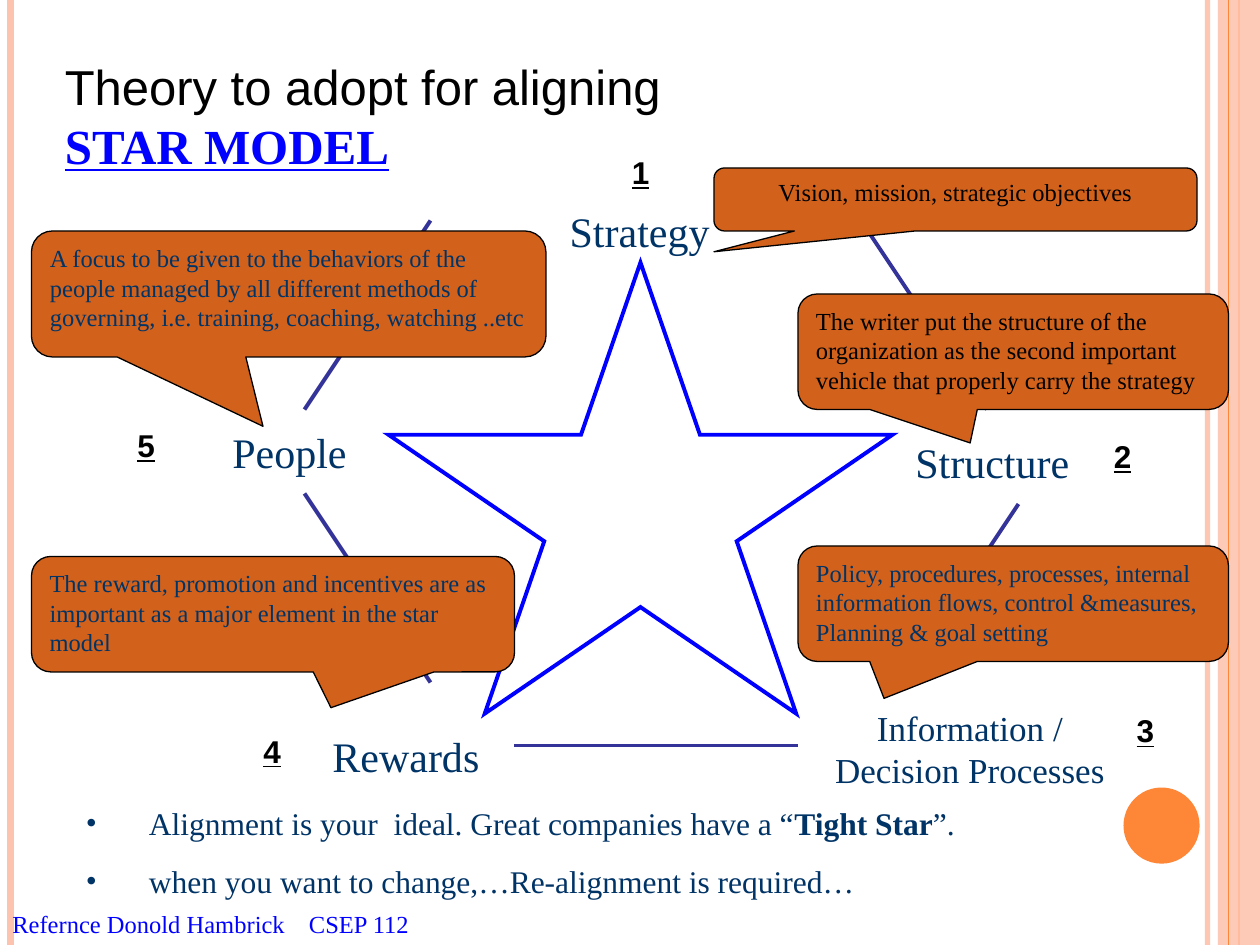
from math import cos, pi, sin

from lxml import etree
from pptx import Presentation
from pptx.dml.color import RGBColor
from pptx.enum.shapes import MSO_CONNECTOR, MSO_SHAPE
from pptx.enum.text import MSO_ANCHOR, MSO_AUTO_SIZE, PP_ALIGN
from pptx.oxml.ns import qn
from pptx.util import Pt

LEFT, CENTER = PP_ALIGN.LEFT, PP_ALIGN.CENTER
TOP, MIDDLE = MSO_ANCHOR.TOP, MSO_ANCHOR.MIDDLE
FIT, FIXED = MSO_AUTO_SIZE.SHAPE_TO_FIT_TEXT, MSO_AUTO_SIZE.NONE
STRAIGHT = MSO_CONNECTOR.STRAIGHT
CALLOUT = MSO_SHAPE.ROUNDED_RECTANGULAR_CALLOUT
RECT, OVAL = MSO_SHAPE.RECTANGLE, MSO_SHAPE.OVAL

BLACK = RGBColor(0x00, 0x00, 0x00)
NAVY = RGBColor(0x00, 0x33, 0x66)
BLUE = RGBColor(0x00, 0x00, 0xFF)
INDIGO = RGBColor(0x33, 0x33, 0x99)
RUST = RGBColor(0xD2, 0x61, 0x1C)
ORANGE = RGBColor(0xFE, 0x86, 0x37)
PEACH = RGBColor(0xFE, 0xC3, 0xAE)

SERIF, SANS = "Times New Roman", "Arial"
W, H = 720, 540

# left, top, width, height, text size, lines
LABELS = [
    (316, 114, 99, 36, 24, ["Strategy"]),
    (514, 246, 106, 36, 24, ["Structure"]),
    (124, 240, 83, 36, 24, ["People"]),
    (181, 414, 102, 36, 24, ["Rewards"]),
    (468, 400, 172.5, 55.5, 20, ["Information /", "Decision Processes"]),
]
NUMBERS = [(354, 84), (629.5, 246), (642.5, 403), (143.5, 414.5), (71.5, 240)]
LINKS = [
    (246, 126, 174, 234),
    (492, 126, 564, 234),
    (582, 288, 510, 396),
    (174, 282, 246, 390),
    (294, 426, 456, 426),
]
# left, top, width, height, tail x, tail y, text colour, alignment, lines
CALLOUTS = [
    (408, 96, 276, 36, -0.5, 0.83, BLACK, CENTER,
     ["Vision, mission, strategic objectives"]),
    (456, 168, 246, 66, -0.1, 0.79, BLACK, LEFT,
     ["The writer put the structure of the organization as the second "
      "important vehicle that properly carry the strategy"]),
    (456, 312, 246, 66, -0.3, 0.82, NAVY, LEFT,
     ["Policy, procedures, processes, internal information flows, "
      "control &measures,", "Planning & goal setting"]),
    (18, 318, 276, 66, 0.12, 0.81, NAVY, LEFT,
     ["The reward, promotion and incentives are as important as a major "
      "element in the star model"]),
    (18, 132, 294, 72, -0.05, 1.05, NAVY, LEFT,
     ["A focus to be given to the behaviors of the people managed by all "
      "different methods of governing, i.e. training, coaching, watching "
      "..etc"]),
]


def set_all(obj, values):
    for name, value in values.items():
        setattr(obj, name, value)


def set_alpha(s, percent):
    for color in s.element.spPr.iter(qn("a:srgbClr")):
        etree.SubElement(color, qn("a:alpha"), val=str(percent * 1000))


def add_run(p, text, size, color, name=SERIF, **fmt):
    r = p.add_run()
    r.text = text
    set_all(r.font, {"size": Pt(size), "name": name, **fmt})
    r.font.color.rgb = color


def add_paragraphs(tf, lines, size, color, align=LEFT, **fmt):
    for i, line in enumerate(lines):
        p = tf.add_paragraph() if i else tf.paragraphs[0]
        p.alignment = align
        add_run(p, line, size, color, **fmt)


def add_text_box(s, box, wrap=True, auto_size=FIT, anchor=TOP):
    tf = s.shapes.add_textbox(*map(Pt, box)).text_frame
    set_all(tf, {"word_wrap": wrap, "auto_size": auto_size,
                 "vertical_anchor": anchor})
    return tf


def add_line(s, ends, color, width):
    line = s.shapes.add_connector(STRAIGHT, *map(Pt, ends))
    line.line.color.rgb = color
    line.line.width = Pt(width)
    etree.SubElement(line.element.spPr, qn("a:effectLst"))
    return line


def add_plain_shape(s, kind, box, color):
    sp = s.shapes.add_shape(kind, *map(Pt, box))
    sp.shadow.inherit = False
    sp.fill.solid()
    sp.fill.fore_color.rgb = color
    sp.line.fill.background()
    return sp


def add_callout(s, box, tail, color, align, lines):
    sp = add_plain_shape(s, CALLOUT, box, RUST)
    sp.line.color.rgb = BLACK
    sp.line.width = Pt(0.75)
    sp.adjustments[0], sp.adjustments[1] = tail
    sp.text_frame.word_wrap = True
    sp.text_frame.vertical_anchor = TOP
    add_paragraphs(sp.text_frame, lines, 14, color, align)


def add_star(s, cx, cy, rx, ry):
    """Five-pointed outline with sharp tips and edges straight from tip to tip."""
    inner = cos(2 * pi / 5) / cos(pi / 5)
    points = []
    for i in range(10):
        scale = inner if i % 2 else 1
        angle = i * pi / 5
        points.append((Pt(cx + scale * rx * sin(angle)),
                       Pt(cy - scale * ry * cos(angle))))
    builder = s.shapes.build_freeform(*points[0])
    builder.add_line_segments(points[1:], close=True)
    sp = builder.convert_to_shape()
    sp.shadow.inherit = False
    sp.fill.background()
    sp.line.color.rgb = BLUE
    sp.line.width = Pt(2.25)
    ln = sp.element.spPr.find(qn("a:ln"))
    etree.SubElement(ln, qn("a:miter"), lim="800000")


def add_bullet(p):
    pPr = p._p.get_or_add_pPr()
    pPr.set("marL", str(Pt(36)))
    pPr.set("indent", str(Pt(-36)))
    color = etree.SubElement(pPr, qn("a:buClr"))
    etree.SubElement(color, qn("a:srgbClr"), val=str(NAVY))
    etree.SubElement(pPr, qn("a:buFont"), typeface=SERIF)
    etree.SubElement(pPr, qn("a:buChar"), char="•")


def add_tab(p, position):
    tabs = etree.SubElement(p._p.get_or_add_pPr(), qn("a:tabLst"))
    etree.SubElement(tabs, qn("a:tab"), pos=str(Pt(position)), algn="l")


def add_border(s):
    set_alpha(add_line(s, (690, 0, 690, H), PEACH, 3), 93)
    add_line(s, (6, 0, 6, H), PEACH, 4.5)
    add_line(s, (708, 0, 708, H), ORANGE, 1.5)
    set_alpha(add_plain_shape(s, RECT, (696, 0, 24, H), PEACH), 87)
    add_line(s, (702, 0, 702, H), ORANGE, 0.75)
    add_plain_shape(s, OVAL, (642, 450, 43.5, 43.5), ORANGE)


def add_title(s):
    tf = add_text_box(s, (30, 24, 636, 84), auto_size=FIXED, anchor=MIDDLE)
    add_run(tf.paragraphs[0], "Theory to adopt for aligning", 28, BLACK, SANS)
    add_run(tf.add_paragraph(), "STAR MODEL", 28, BLUE,
            bold=True, underline=True)


def add_conclusions(s):
    tf = add_text_box(s, (42, 456, 630, 62))
    first, second = tf.paragraphs[0], tf.add_paragraph()
    second.space_before = Pt(11.2)
    for p in (first, second):
        add_bullet(p)
    add_run(first, "Alignment is your  ideal. Great companies have a “", 18, NAVY)
    add_run(first, "Tight Star", 18, NAVY, bold=True)
    add_run(first, "”.", 18, NAVY)
    add_run(second, "when you want to change,…Re-alignment is required…", 18, NAVY)


def add_reference(s):
    p = add_text_box(s, (0, 516, 366, 24)).paragraphs[0]
    add_tab(p, 169.5)
    add_run(p, "Refernce Donold Hambrick\tCSEP 112", 14, BLUE)


def main():
    prs = Presentation()
    set_all(prs, {"slide_width": Pt(W), "slide_height": Pt(H)})
    s = prs.slides.add_slide(prs.slide_layouts[6])
    add_border(s)
    add_title(s)
    add_star(s, 366, 292.5, 151.4, 142.5)
    for *box, size, lines in LABELS:
        tf = add_text_box(s, box, wrap=False)
        add_paragraphs(tf, lines, size, NAVY, CENTER)
    for ends in LINKS:
        add_line(s, ends, INDIGO, 2.25)
    add_conclusions(s)
    add_reference(s)
    for *box, tail_x, tail_y, color, align, lines in CALLOUTS:
        add_callout(s, box, (tail_x, tail_y), color, align, lines)
    for number, (x, y) in enumerate(NUMBERS, 1):
        tf = add_text_box(s, (x, y, 24.5, 29), wrap=False)
        add_paragraphs(tf, [str(number)], 18, BLACK, name=SANS,
                       bold=True, underline=True)
    prs.save("out.pptx")


if __name__ == "__main__":
    main()
